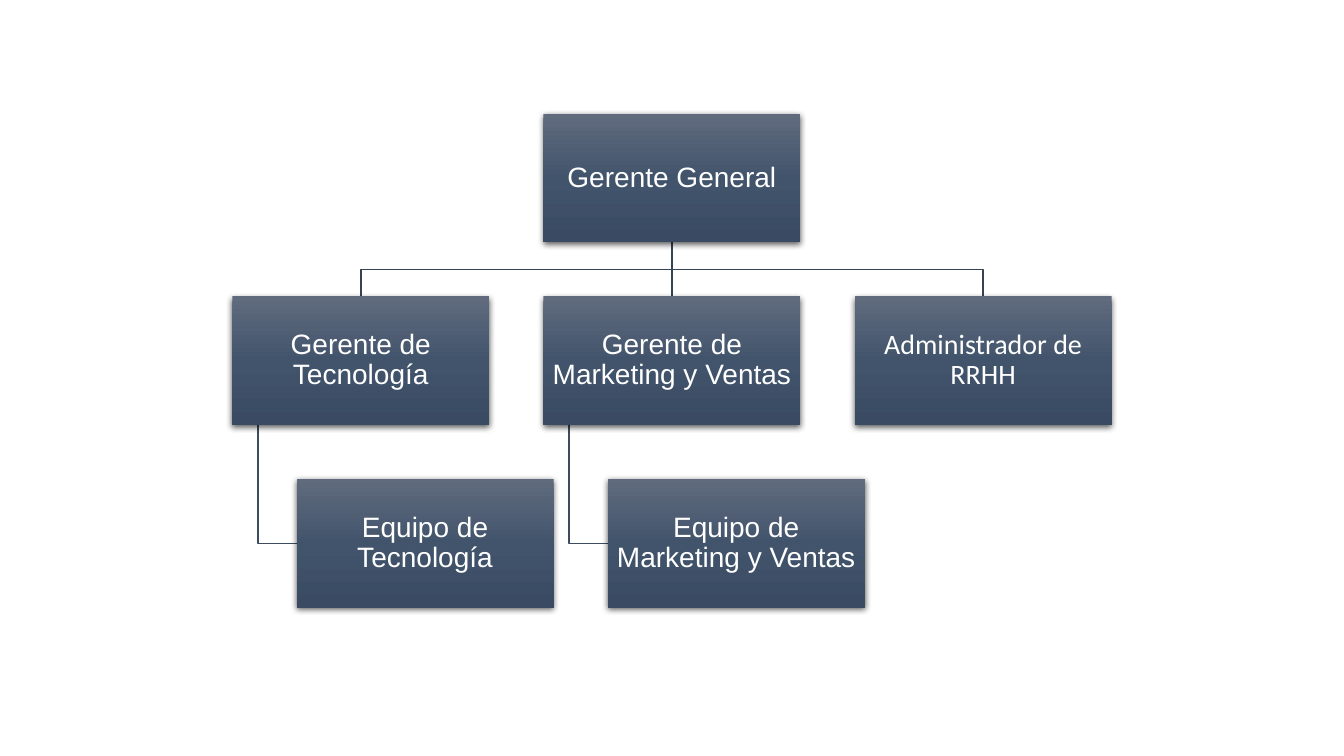
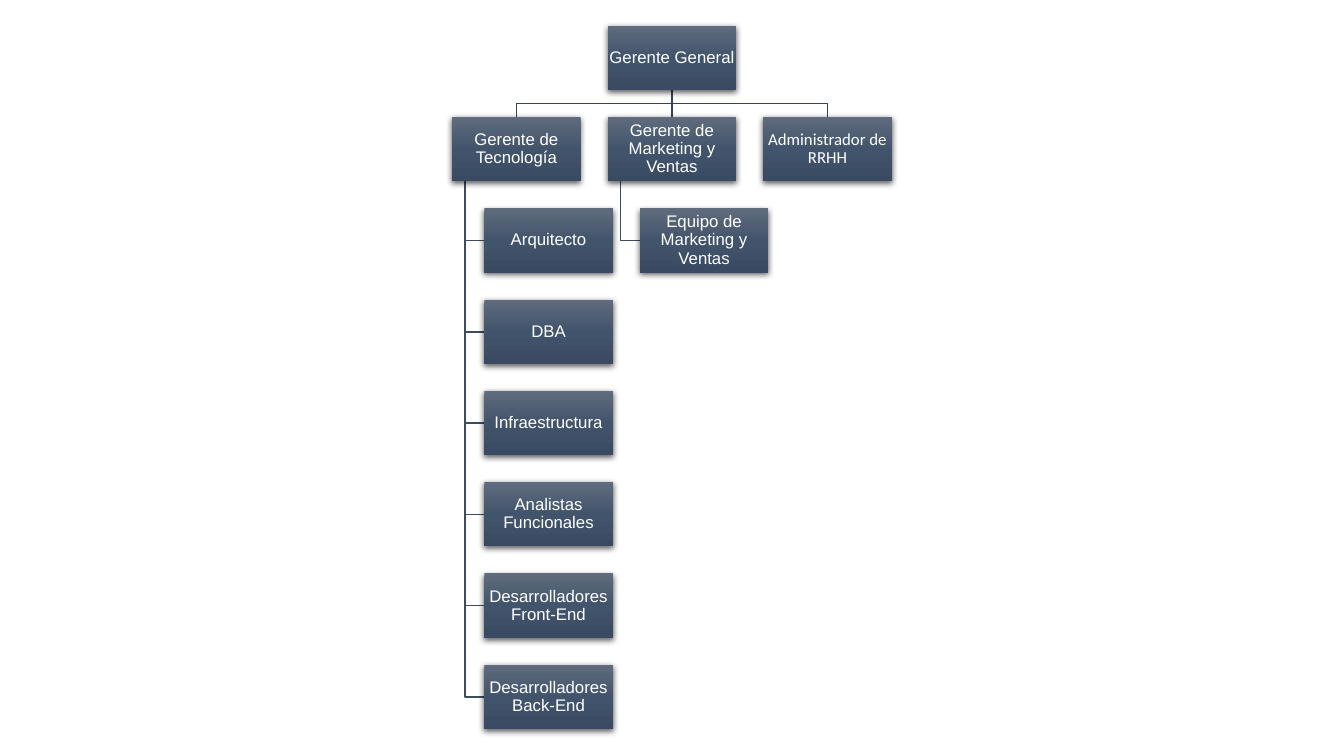
from copy import deepcopy

from lxml import etree
from pptx import Presentation
from pptx import util as u
from pptx.dml.color import RGBColor
from pptx.enum import shapes, text
from pptx.oxml.ns import qn

WHITE = RGBColor(0xFF, 0xFF, 0xFF)
TRUNK = RGBColor(0x36, 0x43, 0x55)
BRANCH = RGBColor(0x3E, 0x4C, 0x60)
STOPS = [
    (0, RGBColor(0x60, 0x6B, 0x7D)),
    (0.5, RGBColor(0x42, 0x54, 0x6C)),
    (1, RGBColor(0x39, 0x4A, 0x62)),
]
FONT = "Arial"
WIDE, HIGH = 33.87, 19.05

HEAD = "Gerente General"
TECH = "Gerente de Tecnología"
SALES = "Gerente de Marketing y Ventas"
STAFF = "Administrador de RRHH"
CREW = "Equipo de Marketing y Ventas"
FONTS = {STAFF: "Calibri"}

# Each chart: box width and top in cm, text size in points, manager -> team
CHARTS = [
    (6.48, 2.87, 20, {TECH: ["Equipo de Tecnología"], SALES: [CREW], STAFF: []}),
    (3.24, 0.65, 12, {
        TECH: ["Arquitecto", "DBA", "Infraestructura", "Analistas Funcionales",
               "Desarrolladores Front-End", "Desarrolladores Back-End"],
        SALES: [CREW],
        STAFF: [],
    }),
]


class Deck:
    def __init__(self):
        self.prs = Presentation()
        self.prs.slide_width, self.prs.slide_height = u.Cm(WIDE), u.Cm(HIGH)
        self.slide = None

    def page(self):
        self.slide = self.prs.slides.add_slide(self.prs.slide_layouts[6])

    def line(self, color, *points):
        """Draw a straight line for two points, a bent one for more."""
        dots = [(u.Cm(x), u.Cm(y)) for x, y in points]
        if len(dots) == 2:
            item = self.slide.shapes.add_connector(
                shapes.MSO_CONNECTOR.STRAIGHT, *dots[0], *dots[1])
        else:
            pen = self.slide.shapes.build_freeform(*dots[0])
            pen.add_line_segments(dots[1:], close=False)
            item = pen.convert_to_shape()
            item.fill.background()
        item.line.color.rgb = color
        item.line.width = u.Pt(1)
        etree.SubElement(item._element.spPr, qn("a:effectLst"))

    def box(self, x, y, width, words, size):
        item = self.slide.shapes.add_shape(
            shapes.MSO_SHAPE.RECTANGLE, u.Cm(x), u.Cm(y), u.Cm(width), u.Cm(width / 2))
        item.line.fill.background()
        self.shade(item)
        self.shadow(item)
        frame = item.text_frame
        frame.word_wrap = True
        frame.vertical_anchor = text.MSO_ANCHOR.MIDDLE
        frame.margin_left = frame.margin_right = u.Cm(0.03)
        frame.margin_top = frame.margin_bottom = u.Cm(0.03)
        para = frame.paragraphs[0]
        para.alignment = text.PP_ALIGN.CENTER
        para.line_spacing = 0.9
        run = para.add_run()
        run.text = words
        run.font.name = FONTS.get(words, FONT)
        run.font.size = u.Pt(size)
        run.font.color.rgb = WHITE

    def shade(self, item):
        """Fill with the three-stop gradient, top to bottom."""
        item.fill.gradient()
        item.fill.gradient_angle = 270
        stops = item._element.spPr.find(".//" + qn("a:gsLst"))
        stops.insert(1, deepcopy(stops[0]))
        for stop, (place, color) in zip(item.fill.gradient_stops, STOPS):
            stop.position = place
            stop.color.rgb = color

    def shadow(self, item):
        item.shadow.inherit = False
        effect = item._element.spPr.find(qn("a:effectLst"))
        outer = etree.SubElement(
            effect, qn("a:outerShdw"), blurRad=str(u.Pt(4.5)), dist=str(u.Pt(1.5)),
            dir="5400000", algn="ctr", rotWithShape="0")
        black = etree.SubElement(outer, qn("a:srgbClr"), val="000000")
        etree.SubElement(black, qn("a:alpha"), val="63000")

    def chart(self, width, top, size, teams):
        """Lay out head, managers in a row and teams in columns."""
        self.page()
        high = width / 2
        step = 1.42 * high
        mid = WIDE / 2
        row = top + step
        fork = (top + high + row) / 2
        boxes = [(mid - width / 2, top, HEAD)]
        for col, (chief, team) in enumerate(teams.items()):
            axis = mid + (col - (len(teams) - 1) / 2) * 1.21 * width
            left = axis - width / 2
            bend = [] if axis == mid else [(mid, fork), (axis, fork)]
            self.line(TRUNK, (mid, top + high), *bend, (axis, row))
            boxes.append((left, row, chief))
            stem, inner = left + 0.1 * width, left + 0.25 * width
            for rank, role in enumerate(team, 1):
                y = row + rank * step
                level = y + high / 2
                self.line(BRANCH, (stem, row + high), (stem, level), (inner, level))
                boxes.append((inner, y, role))
        for x, y, words in boxes:
            self.box(x, y, width, words, size)


def main():
    deck = Deck()
    for plan in CHARTS:
        deck.chart(*plan)
    deck.prs.save("out.pptx")


if __name__ == "__main__":
    main()
